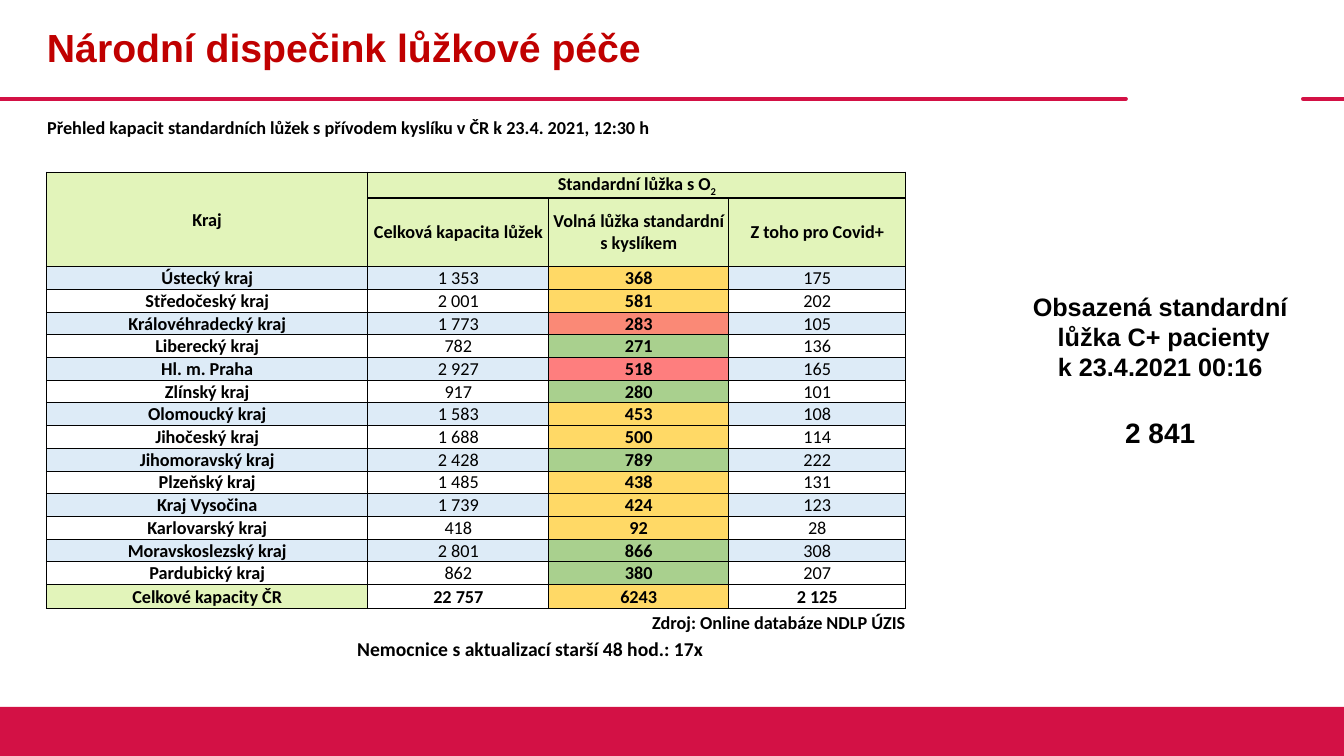
from dataclasses import dataclass

from lxml.etree import SubElement
from pptx import Presentation
from pptx.dml.color import RGBColor
from pptx.enum.shapes import MSO_CONNECTOR, MSO_SHAPE
from pptx.enum.text import MSO_ANCHOR, MSO_AUTO_SIZE, PP_ALIGN
from pptx.oxml.ns import qn
from pptx.slide import Slide
from pptx.util import Cm, Pt

REGIONS = [
    ("Ústecký kraj", "1 353", "368", "175", "FFD966"),
    ("Středočeský kraj", "2 001", "581", "202", "FFD966"),
    ("Královéhradecký kraj", "1 773", "283", "105", "FA8976"),
    ("Liberecký kraj", "782", "271", "136", "A9D08E"),
    ("Hl. m. Praha", "2 927", "518", "165", "FE7E7E"),
    ("Zlínský kraj", "917", "280", "101", "A9D08E"),
    ("Olomoucký kraj", "1 583", "453", "108", "FFD966"),
    ("Jihočeský kraj", "1 688", "500", "114", "FFD966"),
    ("Jihomoravský kraj", "2 428", "789", "222", "A9D08E"),
    ("Plzeňský kraj", "1 485", "438", "131", "FFD966"),
    ("Kraj Vysočina", "1 739", "424", "123", "FFD966"),
    ("Karlovarský kraj", "418", "92", "28", "FFD966"),
    ("Moravskoslezský kraj", "2 801", "866", "308", "A9D08E"),
    ("Pardubický kraj", "862", "380", "207", "A9D08E"),
]
COLUMN_WIDTHS = [8.1, 4.56, 4.53, 4.47]
ROW_HEIGHTS = [1.12, 0.55, 0.58, 1.73] + [0.53] * len(REGIONS) + [0.61, 0.71]
CAPTION_WIDTHS = [11.58, 3.45, 3.43, 2.79, 3.4]
CAPTION_HEIGHTS = [0.71]
FIRST_REGION = 4
TOTAL_ROW = FIRST_REGION + len(REGIONS)
SOURCE_ROW = TOTAL_ROW + 1
COLUMN_EDGES = [1, 1, 0.5, 0.5, 1]
ROW_EDGES = {row: 0.5 for row in range(FIRST_REGION + 1, TOTAL_ROW)}
ROW_EDGES.update({row: 1 for row in (2, 3, FIRST_REGION, TOTAL_ROW, SOURCE_ROW)})


def color(hex_value):
    return RGBColor.from_string(hex_value)


@dataclass
class DispatchSlide:
    slide: Slide
    accent: str = "D31145"
    heading: str = "C00000"
    ink: str = "000000"
    header: str = "E2F4BA"
    band: str = "DDEBF7"
    plain: str = "FFFFFF"
    table_size: float = 13

    def run(self, paragraph, text, size, face, hex_value=None, bold=True):
        run = paragraph.add_run()
        run.text = text
        run.font.size = Pt(size)
        run.font.name = face
        run.font.bold = bold
        run.font.color.rgb = color(hex_value or self.ink)
        return run

    def title(self, text, left, top, width, height):
        title = self.slide.shapes.title
        title.left, title.top, title.width, title.height = map(Cm, (left, top, width, height))
        frame = title.text_frame
        frame.auto_size = MSO_AUTO_SIZE.NONE
        frame.vertical_anchor = MSO_ANCHOR.MIDDLE
        paragraph = frame.paragraphs[0]
        paragraph.alignment = PP_ALIGN.LEFT
        paragraph.line_spacing = 0.9
        self.run(paragraph, text, 28, "Arial", self.heading)

    def rule(self, start, end, y):
        rule = self.slide.shapes.add_connector(
            MSO_CONNECTOR.STRAIGHT, Cm(start), Cm(y), Cm(end), Cm(y))
        rule.line.color.rgb = color(self.accent)
        rule.line.width = Pt(3)
        rule.line._get_or_add_ln().set("cap", "rnd")
        SubElement(rule._element.spPr, qn("a:effectLst"))

    def bar(self, left, top, width, height):
        bar = self.slide.shapes.add_shape(
            MSO_SHAPE.RECTANGLE, Cm(left), Cm(top), Cm(width), Cm(height))
        bar.shadow.inherit = False
        bar.fill.solid()
        bar.fill.fore_color.rgb = color(self.accent)
        bar.line.fill.background()

    def text(self, lines, left, top, width, height, face, alignment):
        box = self.slide.shapes.add_textbox(Cm(left), Cm(top), Cm(width), Cm(height))
        frame = box.text_frame
        frame.word_wrap = True
        for index, (line, size, gap) in enumerate(lines):
            paragraph = frame.add_paragraph() if index else frame.paragraphs[0]
            paragraph.alignment = alignment
            if gap:
                paragraph.space_before = Pt(gap)
            self.run(paragraph, line, size, face)

    def table(self, left, top, widths, heights):
        table = self.slide.shapes.add_table(
            len(heights), len(widths), Cm(left), Cm(top),
            Cm(sum(widths)), Cm(sum(heights))).table
        table.first_row = table.horz_banding = False
        table._tbl.tblPr.find(qn("a:tableStyleId")).text = "{2D5ABB26-0587-4C30-8999-92F81FD0307C}"
        for column, width in zip(table.columns, widths):
            column.width = Cm(width)
        for row, height in zip(table.rows, heights):
            row.height = Cm(height)
        return table

    def edges(self, cell, row, column):
        bottom = row + (cell.span_height if cell.is_merge_origin else 1)
        right = column + (cell.span_width if cell.is_merge_origin else 1)
        framed = 2 <= row < SOURCE_ROW
        widths = {
            "L": COLUMN_EDGES[column] if framed else None,
            "R": COLUMN_EDGES[right] if framed else None,
            "T": ROW_EDGES.get(row),
            "B": ROW_EDGES.get(bottom),
        }
        for side, width in widths.items():
            if width:
                line = SubElement(cell._tc.get_or_add_tcPr(), qn("a:ln" + side), w=str(Pt(width)))
                fill = SubElement(line, qn("a:solidFill"))
                SubElement(fill, qn("a:srgbClr"), val=self.ink)

    def cell(self, table, row, column, text="", fill=None, bold=True,
             alignment=PP_ALIGN.CENTER, subscript=""):
        cell = table.cell(row, column)
        cell.vertical_anchor = MSO_ANCHOR.MIDDLE
        cell.margin_left = cell.margin_right = cell.margin_top = Cm(0.02)
        cell.margin_bottom = 0
        self.edges(cell, row, column)
        if fill:
            cell.fill.solid()
            cell.fill.fore_color.rgb = color(fill)
        else:
            cell.fill.background()
        paragraph = cell.text_frame.paragraphs[0]
        paragraph.alignment = alignment
        if text:
            self.run(paragraph, text, self.table_size, "Calibri", bold=bold)
        else:
            SubElement(paragraph._p, qn("a:endParaRPr"), sz="1200")
        if subscript:
            lowered = self.run(paragraph, subscript, self.table_size, "Calibri")
            lowered.font._element.set("baseline", "-25000")

    def caption_grid(self, left, top):
        grid = self.table(left, top, CAPTION_WIDTHS, CAPTION_HEIGHTS)
        for column in range(len(CAPTION_WIDTHS)):
            self.cell(grid, 0, column)

    def capacities(self, left, top):
        table = self.table(left, top, COLUMN_WIDTHS, ROW_HEIGHTS)
        for first, last in (((0, 0), (0, 3)), ((2, 0), (3, 0)),
                            ((2, 1), (2, 3)), ((SOURCE_ROW, 0), (SOURCE_ROW, 3))):
            table.cell(*first).merge(table.cell(*last))
        self.cell(table, 0, 0, "Přehled kapacit standardních lůžek s přívodem kyslíku "
                  "v ČR k 23.4. 2021, 12:30 h", alignment=PP_ALIGN.LEFT)
        for column in range(len(COLUMN_WIDTHS)):
            self.cell(table, 1, column)
        self.cell(table, 2, 0, "Kraj", self.header)
        self.cell(table, 2, 1, "Standardní lůžka s O", self.header, subscript="2")
        headings = ("Celková kapacita lůžek", "Volná lůžka standardní s kyslíkem",
                    "Z toho pro Covid+")
        for column, heading in enumerate(headings, 1):
            self.cell(table, 3, column, heading, self.header)
        for index, (*values, status) in enumerate(REGIONS):
            shade = self.plain if index % 2 else self.band
            for column, value in enumerate(values):
                self.cell(table, FIRST_REGION + index, column, value,
                          status if column == 2 else shade, bold=column in (0, 2))
        totals = (("Celkové kapacity ČR", self.header), ("22 757", None),
                  ("6243", "FFD966"), ("2 125", None))
        for column, (total, fill) in enumerate(totals):
            self.cell(table, TOTAL_ROW, column, total, fill)
        self.cell(table, SOURCE_ROW, 0, "Zdroj: Online databáze NDLP ÚZIS",
                  alignment=PP_ALIGN.RIGHT)


def main():
    deck = Presentation()
    deck.slide_width, deck.slide_height = Cm(33.87), Cm(19.05)
    page = DispatchSlide(deck.slides.add_slide(deck.slide_layouts[5]))
    page.rule(0, 28.37, 2.49)
    page.rule(32.84, 33.87, 2.49)
    page.bar(0, 17.81, 33.87, 1.24)
    page.title("Národní dispečink lůžkové péče", 0.93, 0, 27.46, 2.49)
    page.caption_grid(0.91, 2.82)
    page.text([("Obsazená standardní", 18, 0), (" lůžka C+ pacienty", 18, 0),
               ("k 23.4.2021 00:16", 18, 0), ("2 841", 20, 24)],
              24.82, 7.21, 8.84, 4.27, "Arial", PP_ALIGN.CENTER)
    page.text([(" Nemocnice s aktualizací starší 48 hod.: 17x", 14, 0)],
              8.64, 15.92, 10.72, 1.02, "Calibri", PP_ALIGN.LEFT)
    page.capacities(1.17, 2.67)
    deck.save("out.pptx")


if __name__ == "__main__":
    main()
